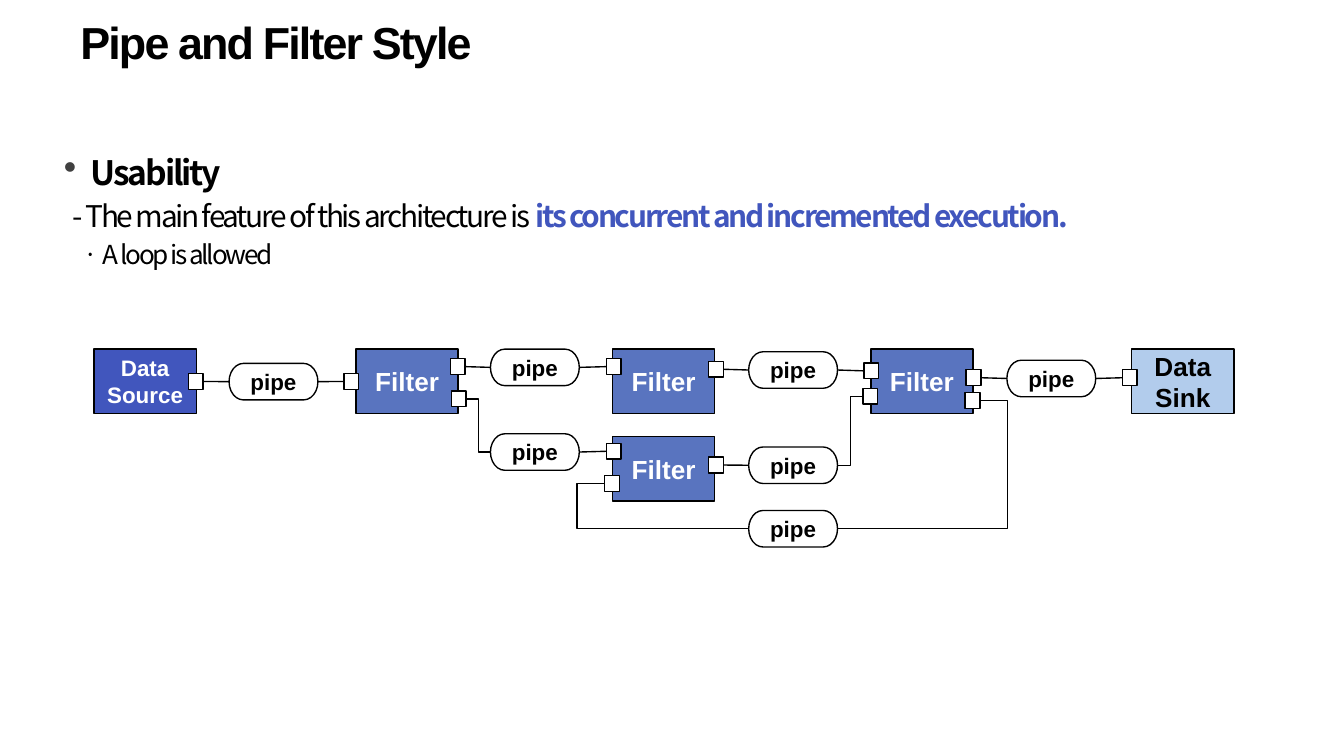
from dataclasses import dataclass

from lxml import etree
from pptx import Presentation
from pptx.dml.color import RGBColor
from pptx.enum.shapes import MSO_CONNECTOR, MSO_SHAPE
from pptx.enum.text import MSO_ANCHOR, PP_ALIGN
from pptx.oxml.ns import qn
from pptx.util import Cm, Pt

RECT, OVAL = MSO_SHAPE.RECTANGLE, MSO_SHAPE.FLOWCHART_TERMINATOR
PLAIN, ELBOW = MSO_CONNECTOR.STRAIGHT, MSO_CONNECTOR.ELBOW
MIDDLE, CENTER = MSO_ANCHOR.MIDDLE, PP_ALIGN.CENTER


@dataclass(frozen=True)
class Theme:
    """Colours, fonts and type sizes."""
    black: str = "000000"
    white: str = "FFFFFF"
    blue: str = "4156BD"
    steel: str = "5974BF"
    sky: str = "B2CCEC"
    gray: str = "404040"
    sans: str = "Arial"
    body: str = "Noto Sans CJK KR"
    title: int = 24
    head: int = 18
    text: int = 16
    note: int = 14
    label: int = 12
    line: float = 0.75


class Deck:
    """Style and current slide, with a method per kind of element."""

    def __init__(self, theme, slide):
        """Keep the theme and the slide."""
        self.theme, self.slide = theme, slide

    def style(self, run, size, color, bold=True, face=None, track=0):
        """Format one run."""
        font = run.font
        font.name = face or self.theme.sans
        font.size, font.bold = Pt(size), bold
        font.color.rgb = RGBColor.from_string(color)
        props = run._r.get_or_add_rPr()
        etree.SubElement(props, qn("a:ea"), typeface=font.name)
        if track:
            props.set("spc", str(track))

    def frame(self, x, y, w, h):
        """Add a wrapping text box and return its frame."""
        frame = self.slide.shapes.add_textbox(Cm(x), Cm(y), Cm(w), Cm(h)).text_frame
        frame.word_wrap = True
        return frame

    def title(self, text):
        """Add the slide title."""
        frame = self.frame(1.32, 0.05, 23.42, 1.47)
        frame.margin_left = frame.margin_right = Cm(0.2)
        frame.vertical_anchor = MIDDLE
        frame.text = text
        self.style(frame.paragraphs[0].runs[0], self.theme.title, self.theme.black, track=-100)

    def body(self, rows):
        """Add paragraphs given as size, spacing, margin, indent, mark and runs."""
        frame = self.frame(0.71, 2.51, 24, 11.43)
        for i, (size, gap, margin, indent, mark, parts) in enumerate(rows):
            para = frame.add_paragraph() if i else frame.paragraphs[0]
            para.line_spacing, para.space_after = gap, Pt(5)
            para.space_before = Pt(0.2 * size if i else 0)
            props = para._p.get_or_add_pPr()
            props.set("marL", str(Cm(margin)))
            props.set("indent", str(Cm(indent)))
            if mark:
                tint = etree.SubElement(props, qn("a:buClr"))
                etree.SubElement(tint, qn("a:srgbClr"), val=self.theme.gray)
                etree.SubElement(props, qn("a:buSzPct"), val="110000")
                etree.SubElement(props, qn("a:buChar"), char=mark)
            for text, color, bold in parts:
                run = para.add_run()
                run.text = text
                self.style(run, size, color, bold, self.theme.body, -120)

    def shape(self, kind, x, y, w, h, fill, text="", size=12, color="000000", wrap=True):
        """Add an outlined shape with a centred label."""
        item = self.slide.shapes.add_shape(kind, Cm(x), Cm(y), Cm(w), Cm(h))
        item.shadow.inherit = False
        item.fill.solid()
        item.fill.fore_color.rgb = RGBColor.from_string(fill)
        item.line.color.rgb = RGBColor.from_string(self.theme.black)
        item.line.width = Pt(self.theme.line)
        if text:
            frame = item.text_frame
            frame.text, frame.word_wrap, frame.vertical_anchor = text, wrap, MIDDLE
            for para in frame.paragraphs:
                para.alignment = CENTER
                self.style(para.runs[0], size, color)
        return item

    def box(self, x, y, fill, text, size, color):
        """Add a component box."""
        self.shape(RECT, x, y, 1.93, 1.22, fill, text, size, color, False)

    def port(self, x, y):
        """Add a small port."""
        return self.shape(RECT, x, y, 0.28, 0.3, self.theme.white)

    def pipe(self, x, y):
        """Add a pipe."""
        return self.shape(OVAL, x, y, 1.68, 0.69, self.theme.white, "pipe",
                          self.theme.label, self.theme.black)

    def link(self, start, end, sides="rl", bend=None):
        """Join two shapes at the given left or right sides."""
        ends = []
        for item, side in zip((start, end), sides):
            ends += [item.left + item.width * (side == "r"), item.top + item.height // 2]
        kind = ELBOW if abs(ends[3] - ends[1]) > Cm(0.5) else PLAIN
        line = self.slide.shapes.add_connector(kind, *ends)
        line.line.color.rgb = RGBColor.from_string(self.theme.black)
        line.line.width = Pt(self.theme.line)
        props = line._element.spPr
        etree.SubElement(props, qn("a:effectLst"))
        if bend is not None:
            guides = props.find(qn("a:prstGeom")).get_or_add_avLst()
            etree.SubElement(guides, qn("a:gd"), name="adj1", fmla=f"val {bend}")


def main():
    """Build and save the slide."""
    show = Presentation()
    show.slide_width, show.slide_height = Cm(25.4), Cm(14.29)
    theme = Theme()
    deck = Deck(theme, show.slides.add_slide(show.slide_layouts[6]))
    deck.title("Pipe and Filter Style")
    deck.body([
        (theme.head, 1.3, 0.76, -0.51, "•", [("Usability", theme.black, True)]),
        (theme.text, 0.7, 0.42, 0, "", [
            ("- The main feature of this architecture is ", theme.black, False),
            ("its concurrent and incremented execution.", theme.blue, True)]),
        (theme.note, 0.7, 0.53, 0, "", [("ㆍA loop is allowed", theme.black, False)]),
    ])

    top, low = 6.6, 8.25
    deck.box(1.78, top, theme.blue, "Data\nSource", theme.label, theme.white)
    for x, y in [(6.73, top), (11.58, top), (16.46, top), (11.58, low)]:
        deck.box(x, y, theme.steel, "Filter", theme.note, theme.white)
    deck.box(21.39, top, theme.sky, "Data\nSink", theme.note, theme.black)

    routes = [
        ((3.56, 7.06), (4.33, 6.87), (6.5, 7.06)),
        ((8.51, 6.78), (9.27, 6.6), (11.46, 6.78)),
        ((13.39, 6.83), (14.15, 6.65), (16.33, 6.86)),
        ((18.26, 6.99), (19.03, 6.81), (21.21, 6.99)),
        ((8.53, 7.39), (9.27, 8.2), (11.46, 8.38)),
        ((13.39, 8.64), (14.15, 8.45), (16.31, 7.34)),
    ]
    for start, mid, end in routes:
        pipe = deck.pipe(*mid)
        deck.link(deck.port(*start), pipe)
        deck.link(pipe, deck.port(*end))

    loop = deck.pipe(14.15, 9.65)
    deck.link(deck.port(18.24, 7.42), loop, "rr", -19500)
    deck.link(deck.port(11.43, 8.99), loop, "ll", -19300)
    show.save("out.pptx")


if __name__ == "__main__":
    main()
